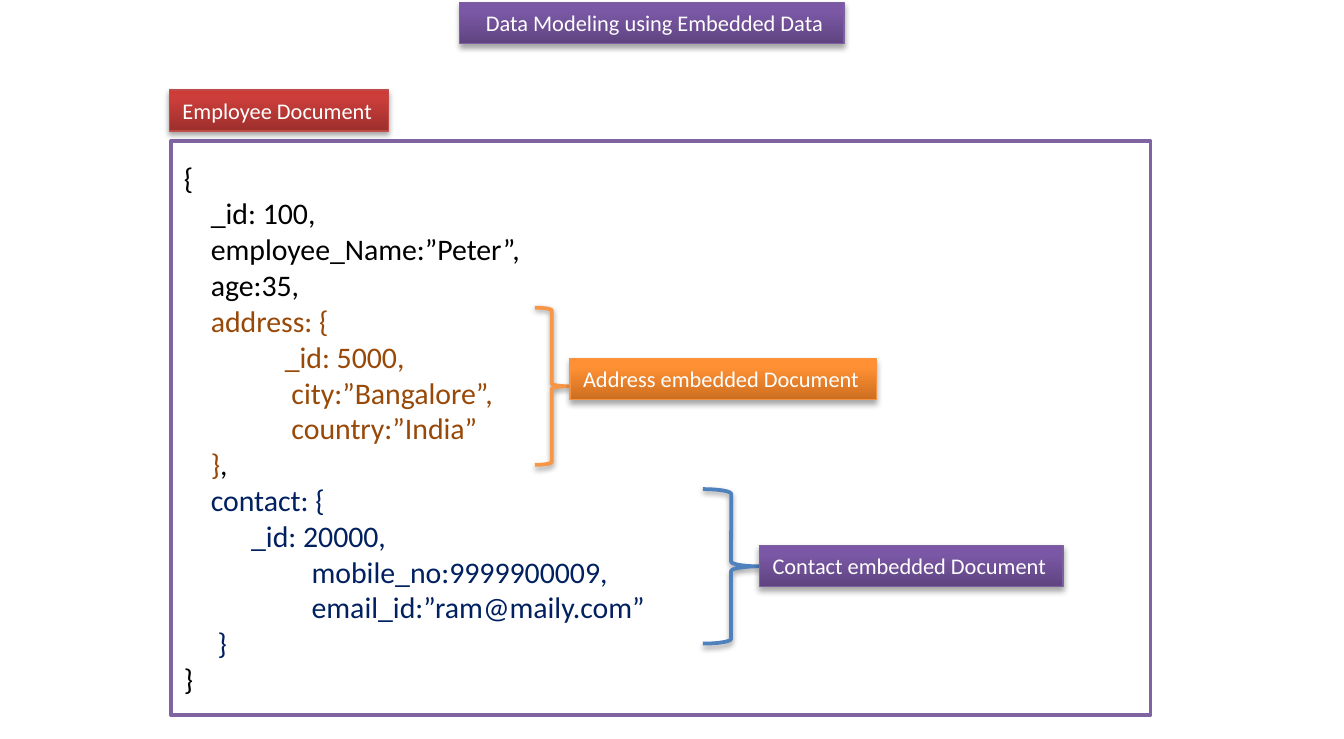
import pptx
import pptx.util
import pptx.dml.color
import pptx.oxml
import pptx.oxml.ns
import pptx.enum.shapes
import pptx.enum.text

# The grid has 100 columns and 55 rows, each a tenth of an inch
CELL = pptx.util.Inches(0.1)
COLUMNS, ROWS = 100, 55
FONT = "Calibri"
SHAPES = pptx.enum.shapes.MSO_SHAPE
ANCHOR = pptx.enum.text.MSO_ANCHOR
ALIGN = pptx.enum.text.PP_ALIGN

# Label styles: bottom, middle and top of the gradient, then the outline
RED = ("9C2F2D", "CB3E3A", "CE3B37", "BF4C48")
ORANGE = ("CC6E20", "FF9034", "FF9136", "F69240")
PURPLE = ("5F4480", "7B58A6", "7C57A8", "7D60A0")

BLACK, BROWN, NAVY = "000000", "984807", "002060"
# Each code line is a list of (text, colour) spans
CODE = [
    [("{", BLACK)],
    [("    _id: 100,", BLACK)],
    [("    employee_Name:”Peter”,", BLACK)],
    [("    age:35,", BLACK)],
    [("    address: {", BROWN)],
    [("               _id: 5000,", BROWN)],
    [("                city:”Bangalore”,", BROWN)],
    [("                country:”India”", BROWN)],
    [("    }", BROWN), (",", BLACK)],
    [("    contact: {", NAVY)],
    [("\t_id: 20000,", NAVY)],
    [("                   mobile_no:9999900009,", NAVY)],
    [("                   email_id:”ram@maily.com”", NAVY)],
    [("     }", NAVY)],
    [("}", BLACK)],
]


def rgb(value):
    return pptx.dml.color.RGBColor.from_string(value)


def within(area, left, top, width, height):
    """Turn a box relative to an area into a box on the page."""
    return area[0] + left, area[1] + top, width, height


def add_shape(page, kind, box, line, weight):
    shape = page.shapes.add_shape(kind, *(round(n * CELL) for n in box))
    shape.shadow.inherit = False
    shape.line.color.rgb = rgb(line)
    shape.line.width = pptx.util.Pt(weight)
    return shape


def add_shadow(shape, distance, opacity):
    effects = shape._element.spPr.find(pptx.oxml.ns.qn("a:effectLst"))
    effects.append(pptx.oxml.parse_xml(
        f'<a:outerShdw {pptx.oxml.ns.nsdecls("a")} blurRad="{pptx.util.Pt(3.1)}" '
        f'dist="{pptx.util.Pt(distance)}" dir="5400000" rotWithShape="0">'
        f'<a:srgbClr val="000000"><a:alpha val="{opacity * 1000}"/></a:srgbClr>'
        '</a:outerShdw>'))


def add_gradient(shape, colours):
    shape.fill.gradient()
    shape.fill.gradient_angle = 90
    stops = shape._element.spPr.find(".//" + pptx.oxml.ns.qn("a:gsLst"))
    stops.clear()
    for position, colour in zip((0, 80, 100), colours):
        stops.append(pptx.oxml.parse_xml(
            f'<a:gs {pptx.oxml.ns.nsdecls("a")} pos="{position * 1000}">'
            f'<a:srgbClr val="{colour}"/></a:gs>'))


def format_span(span, size, colour):
    span.font.name = FONT
    span.font.size = pptx.util.Pt(size)
    span.font.color.rgb = rgb(colour)


def add_label(page, box, text, style, align=ALIGN.LEFT, wrap=False):
    label = add_shape(page, SHAPES.RECTANGLE, box, style[3], 0.75)
    add_gradient(label, style[:3])
    add_shadow(label, 1.8, 35)
    frame = label.text_frame
    frame.text = text
    frame.word_wrap = wrap
    frame.auto_size = pptx.enum.text.MSO_AUTO_SIZE.SHAPE_TO_FIT_TEXT
    frame.vertical_anchor = ANCHOR.TOP
    para = frame.paragraphs[0]
    para.alignment = align
    format_span(para.runs[0], 12, "FFFFFF")
    return label


def add_code(page, box):
    panel = add_shape(page, SHAPES.RECTANGLE, box, "8064A2", 2)
    panel.fill.solid()
    panel.fill.fore_color.rgb = rgb("FFFFFF")
    frame = panel.text_frame
    frame.word_wrap = True
    frame.vertical_anchor = ANCHOR.MIDDLE
    for index, spans in enumerate(CODE):
        para = frame.add_paragraph() if index else frame.paragraphs[0]
        para.alignment = ALIGN.LEFT
        for text, colour in spans:
            span = para.add_run()
            span.text = text
            format_span(span, 16, colour)


def add_brace(page, box, colour):
    brace = add_shape(page, SHAPES.RIGHT_BRACE, box, colour, 2)
    brace.fill.background()
    add_shadow(brace, 1.6, 38)


def add_document(page, box):
    """Code panel, its heading, and braces naming the embedded parts."""
    add_code(page, box)
    add_label(page, within(box, -0.1, -3.8, 16.3, 3.05), "Employee Document", RED)
    add_brace(page, within(box, 27.1, 12.4, 2.5, 11.7), "F79646")
    add_brace(page, within(box, 39.6, 25.9, 4.2, 11.5), "4F81BD")
    add_label(page, within(box, 29.7, 16.2, 22.8, 3.05),
              "Address embedded Document", ORANGE)
    add_label(page, within(box, 43.8, 30.1, 22.6, 3.05),
              "Contact embedded Document", PURPLE)


def add_title(page, box):
    title = add_label(page, box, "Data Modeling using Embedded Data", PURPLE,
                      ALIGN.CENTER, True)
    title.text_frame.margin_left = pptx.util.Inches(0.14)


def main():
    deck = pptx.Presentation()
    deck.slide_width, deck.slide_height = COLUMNS * CELL, ROWS * CELL
    page = deck.slides.add_slide(deck.slide_layouts[6])
    add_document(page, (12.7, 10.5, 72.9, 42.7))
    add_title(page, (34.2, 0.2, 28.6, 3.05))
    deck.save("out.pptx")


if __name__ == "__main__":
    main()
